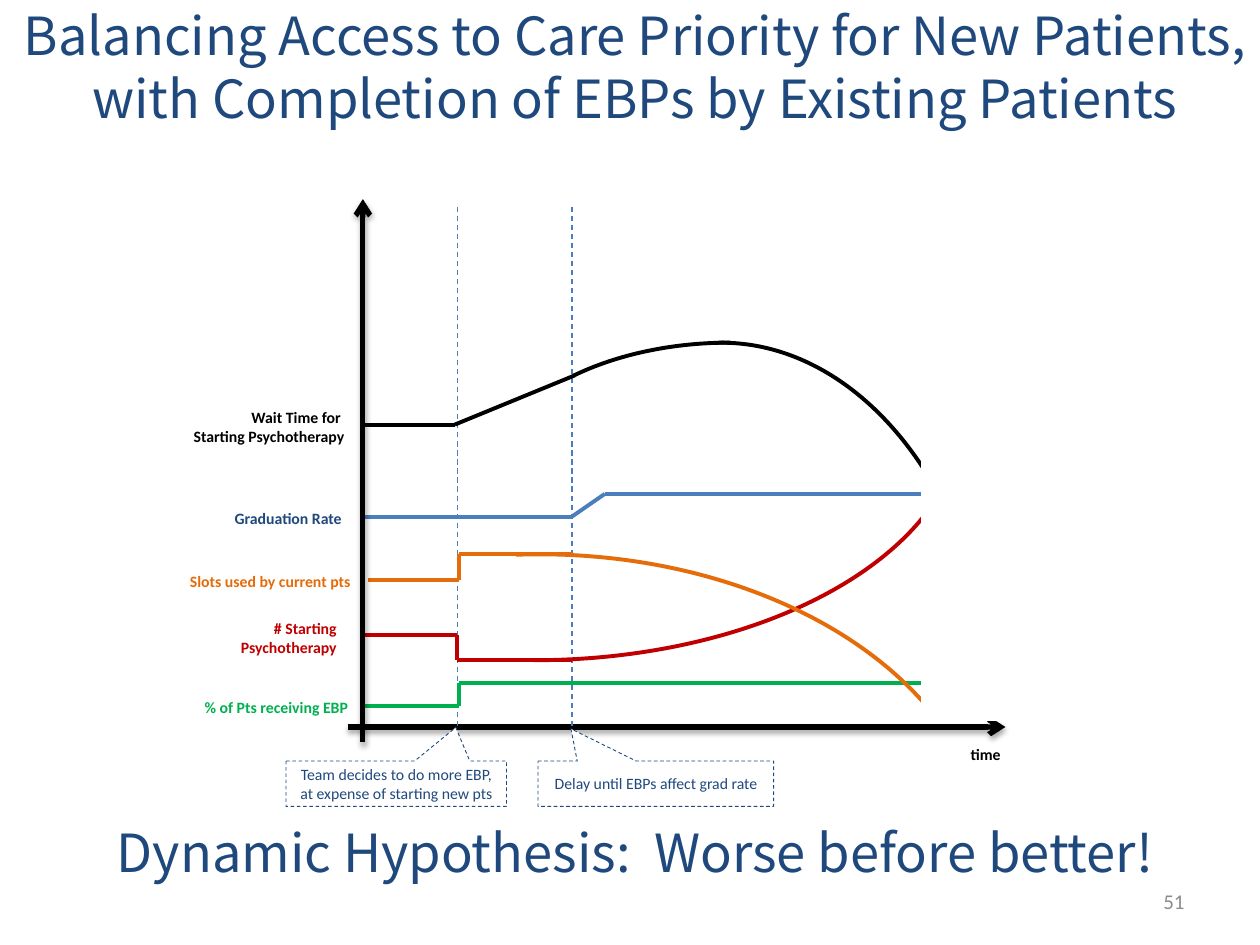
from itertools import pairwise

from lxml.etree import SubElement
from pptx import Presentation
from pptx.dml.color import RGBColor
from pptx.enum.dml import MSO_LINE as Dash
from pptx.enum.shapes import MSO_CONNECTOR as Link, MSO_SHAPE as Shape
from pptx.enum.text import MSO_ANCHOR as Anchor, PP_ALIGN as Align
from pptx.oxml.ns import qn
from pptx.util import Inches, Pt

NAVY, BLUE, BLACK, WHITE = "1F497D", "4B7EBC", "000000", "FFFFFF"
RED, GREEN, ORANGE, GRAY = "C00000", "00B050", "E46C0A", "8C8C8C"
START, DELAY, BASE = 3.63, 4.54, 5.77


def paint(color):
    """Return the colour for a hex string."""
    return RGBColor.from_string(color)


def write(frame, text, size=9, color=NAVY, bold=False, font="Calibri",
          align=Align.CENTER, anchor=Anchor.TOP, wrap=True, pitch=None):
    """Fill a text frame with formatted paragraphs."""
    frame.text = text
    frame.word_wrap = wrap
    frame.vertical_anchor = anchor
    for para in frame.paragraphs:
        para.alignment = align
        para.font.bold = bold
        if pitch:
            para.line_spacing = Pt(pitch)
        for run in para.runs:
            run.font.name = font
            run.font.size = Pt(size)
            run.font.color.rgb = paint(color)


def label(slide, text, box, **form):
    """Add a text box."""
    write(slide.shapes.add_textbox(*map(Inches, box)).text_frame, text, **form)


def stroke(item, color, width, dash=None):
    """Set the outline of a shape or connector."""
    item.line.color.rgb = paint(color)
    item.line.width = Pt(width)
    if dash:
        item.line.dash_style = dash


def trace(slide, points, color, width=2.25, dash=None):
    """Join points with straight connectors and return the last one."""
    for start, end in pairwise(points):
        line = slide.shapes.add_connector(
            Link.STRAIGHT, *map(Inches, (*start, *end)))
        stroke(line, color, width, dash)
        SubElement(line.element.spPr, qn("a:effectLst"))
    return line


def axis(slide, start, end):
    """Add a thick arrow with a soft shadow."""
    props = trace(slide, [start, end], BLACK, 3).element.spPr
    SubElement(props.find(qn("a:ln")), qn("a:tailEnd"), type="arrow")
    shade = SubElement(
        props.find(qn("a:effectLst")), qn("a:outerShdw"),
        blurRad=str(Pt(3.1)), dist=str(Pt(1.8)), dir="5400000", rotWithShape="0")
    tint = SubElement(shade, qn("a:srgbClr"), val=BLACK)
    SubElement(tint, qn("a:alpha"), val="35000")


def form(slide, kind, box, color, width, fill=None, adjust=(), dash=None):
    """Add a preset shape without a shadow."""
    item = slide.shapes.add_shape(kind, *map(Inches, box))
    item.shadow.inherit = False
    for index, value in enumerate(adjust):
        item.adjustments[index] = value
    if fill:
        item.fill.solid()
        item.fill.fore_color.rgb = paint(fill)
    else:
        item.fill.background()
    stroke(item, color, width, dash)
    return item


def curve(slide, box, color, angles, flip=False):
    """Add an arc between two angles in degrees."""
    arc = form(slide, Shape.ARC, box, color, 2.25,
               adjust=[angle * 0.6 for angle in angles])
    if flip:
        arc.element.spPr.find(qn("a:xfrm")).set("flipV", "1")


def callout(slide, text, box, tip):
    """Add a dashed callout whose tip is relative to its box."""
    item = form(slide, Shape.RECTANGULAR_CALLOUT, box, NAVY, 0.5, WHITE, tip, Dash.DASH)
    write(item.text_frame, text, anchor=Anchor.MIDDLE)


def main():
    """Build the slide."""
    deck = Presentation()
    deck.slide_width, deck.slide_height = Inches(10), Inches(7.5)
    slide = deck.slides.add_slide(deck.slide_layouts[5])
    head = dict(size=30, font="Noto Sans CJK JP", pitch=36)

    title = slide.shapes.title
    title.left, title.top, title.width, title.height = map(
        Inches, (-0.17, -0.03, 10.42, 1.1))
    write(title.text_frame, "Balancing Access to Care Priority for New Patients, "
          "with Completion of EBPs by Existing Patients", **head)
    label(slide, "Dynamic Hypothesis:  Worse before better!",
          (-0.17, 6.46, 10.42, 0.6), **head)

    axis(slide, (2.76, BASE), (7.98, BASE))
    for x in (START, DELAY):
        trace(slide, [(x, 1.64), (x, BASE)], BLUE, 0.75, Dash.DASH)
    callout(slide, "Team decides to do more EBP, at expense of starting new pts",
            (2.27, 6.04, 1.75, 0.36), (0.27, -1.24))
    callout(slide, "Delay until EBPs affect grad rate",
            (4.27, 6.04, 1.87, 0.36), (-0.36, -1.21))

    for text, box, color, wrap in (
        ("Wait Time for \nStarting Psychotherapy", (1.41, 3.19, 1.42, 0.4), BLACK, False),
        ("Graduation Rate", (1.74, 3.99, 1.07, 0.25), NAVY, False),
        ("Slots used by current pts", (1.38, 4.49, 1.5, 0.25), ORANGE, False),
        ("# Starting Psychotherapy", (1.36, 4.86, 1.41, 0.4), RED, True),
        ("% of Pts receiving EBP", (1.51, 5.49, 1.35, 0.25), GREEN, False),
        ("time", (7.6, 5.86, 0.44, 0.25), BLACK, False),
    ):
        label(slide, text, box, color=color, bold=True, align=Align.RIGHT, wrap=wrap)

    for color, points in (
        (RED, [(2.9, 5.04), (START, 5.04), (START, 5.24), (DELAY, 5.24)]),
        (GREEN, [(2.9, 5.6), (3.64, 5.6), (3.64, 5.42), (7.98, 5.42)]),
        (BLACK, [(2.87, 3.37), (3.61, 3.37), (4.56, 2.98)]),
        (ORANGE, [(2.92, 4.6), (3.64, 4.6), (3.64, 4.4), (DELAY, 4.4)]),
        (BLUE, [(2.88, 4.1), (DELAY, 4.1), (4.8, 3.92), (8.04, 3.92)]),
    ):
        trace(slide, points, color)
    axis(slide, (2.88, 5.89), (2.88, 1.58))

    curve(slide, (0.83, 1.29, 6.82, 3.95), RED, (270, 347.61), flip=True)
    curve(slide, (0.72, 4.4, 7.13, 4.9), ORANGE, (265.55, 338.02))
    curve(slide, (3.83, 2.72, 3.92, 2.33), BLACK, (216.21, 270.27))
    curve(slide, (3.53, 2.72, 4.39, 6.29), BLACK, (269.44, 317.25))
    form(slide, Shape.RECTANGLE, (7.32, 1.77, 1.04, 3.94), WHITE, 2, WHITE)
    label(slide, "51", (7.17, 6.95, 2.33, 0.4), size=12, color=GRAY,
          align=Align.RIGHT, anchor=Anchor.MIDDLE)
    deck.save("out.pptx")


if __name__ == "__main__":
    main()
